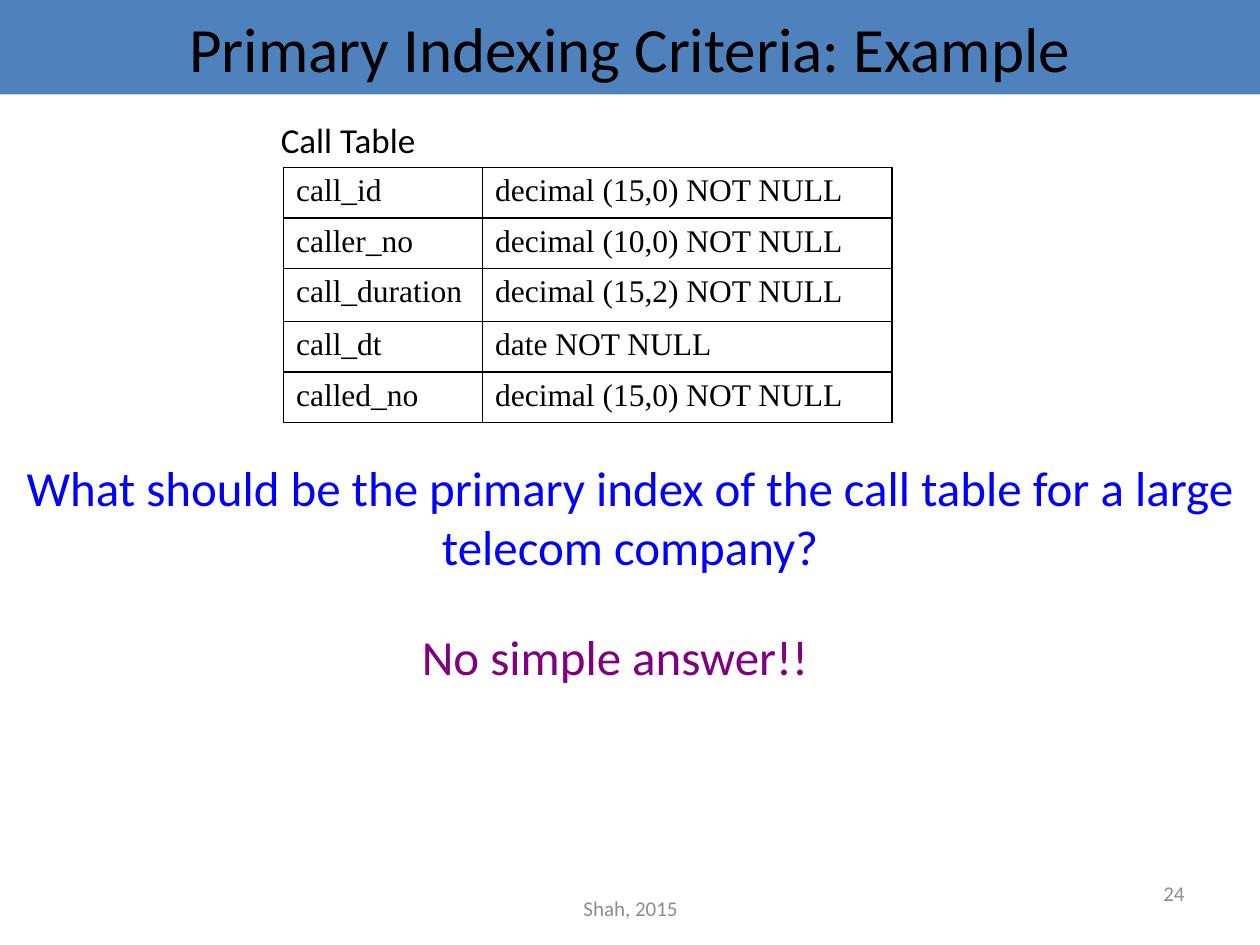
"""Build the slide on primary indexing criteria with its call table."""
import pptx
import pptx.dml.color
import pptx.enum.shapes
import pptx.enum.text
import pptx.oxml
import pptx.oxml.ns
import pptx.util

Inches = pptx.util.Inches
ALIGN = pptx.enum.text.PP_ALIGN
ANCHOR = pptx.enum.text.MSO_ANCHOR

COLUMN_WIDTHS = [1.58, 3.25]
ROW_HEIGHTS = [0.39, 0.39, 0.42, 0.39, 0.39]
CALL_COLUMNS = [
    ("call_id", "decimal (15,0) NOT NULL"),
    ("caller_no", "decimal (10,0) NOT NULL"),
    ("call_duration", "decimal (15,2) NOT NULL"),
    ("call_dt", "date NOT NULL"),
    ("called_no", "decimal (15,0) NOT NULL"),
]


def color(hex_string):
    """Return the colour for a hex string."""
    return pptx.dml.color.RGBColor.from_string(hex_string)


def write_text(frame, text, size, hex_string, align=ALIGN.LEFT, font="Calibri"):
    """Write one styled paragraph into a text frame."""
    paragraph = frame.paragraphs[0]
    paragraph.text = text
    paragraph.alignment = align
    paragraph.font.size = pptx.util.Pt(size)
    paragraph.font.name = font
    paragraph.font.color.rgb = color(hex_string)


def add_text(slide, box, text, size, hex_string, align=ALIGN.LEFT,
             anchor=ANCHOR.TOP, wrap=True):
    """Add a text box holding one paragraph."""
    shape = slide.shapes.add_textbox(*map(Inches, box))
    frame = shape.text_frame
    frame.word_wrap = wrap
    frame.vertical_anchor = anchor
    if not wrap:
        frame.auto_size = pptx.enum.text.MSO_AUTO_SIZE.SHAPE_TO_FIT_TEXT
    write_text(frame, text, size, hex_string, align)


def add_title_bar(slide, text):
    """Add the filled bar across the top with the title."""
    shape = slide.shapes.add_shape(
        pptx.enum.shapes.MSO_SHAPE.RECTANGLE, 0, 0, Inches(10), Inches(0.75))
    shape.shadow.inherit = False
    shape.fill.solid()
    shape.fill.fore_color.rgb = color("4F81BD")
    shape.line.fill.background()
    shape.text_frame.vertical_anchor = ANCHOR.MIDDLE
    write_text(shape.text_frame, text, 36, "000000", ALIGN.CENTER)


def set_borders(cell, hex_string, points):
    """Draw a solid line on all four sides of a cell."""
    properties = cell._tc.get_or_add_tcPr()
    for side in ("lnL", "lnR", "lnT", "lnB"):
        properties.append(pptx.oxml.parse_xml(
            f'<a:{side} {pptx.oxml.ns.nsdecls("a")} w="{pptx.util.Pt(points)}">'
            f'<a:solidFill><a:srgbClr val="{hex_string}"/></a:solidFill>'
            f'</a:{side}>'))


def add_call_table(slide, left, top):
    """Add the table that lists the call columns and their types."""
    table = slide.shapes.add_table(
        len(ROW_HEIGHTS), len(COLUMN_WIDTHS), Inches(left), Inches(top),
        Inches(sum(COLUMN_WIDTHS)), Inches(sum(ROW_HEIGHTS))).table
    table.first_row = False
    table.horz_banding = False
    for column, width in zip(table.columns, COLUMN_WIDTHS):
        column.width = Inches(width)
    for row, height, texts in zip(table.rows, ROW_HEIGHTS, CALL_COLUMNS):
        row.height = Inches(height)
        for cell, text in zip(row.cells, texts):
            set_borders(cell, "000000", 1)
            cell.fill.background()
            write_text(cell.text_frame, text, 18, "000000", font="Times New Roman")


def main():
    """Build and save the slide."""
    presentation = pptx.Presentation()
    presentation.slide_width = Inches(10)
    presentation.slide_height = Inches(7.5)
    slide = presentation.slides.add_slide(presentation.slide_layouts[6])
    add_text(slide, (3.42, 7.08, 3.17, 0.26), "Shah, 2015", 12, "8C8C8C",
             ALIGN.CENTER, ANCHOR.MIDDLE)
    add_text(slide, (7.17, 6.83, 2.33, 0.52), "24", 12, "8C8C8C",
             ALIGN.RIGHT, ANCHOR.MIDDLE)
    add_title_bar(slide, "Primary Indexing Criteria: Example")
    add_text(slide, (0, 3.58, 10, 1),
             "What should be the primary index of the call table for a large "
             "telecom company?", 28, "0000FF", ALIGN.CENTER)
    add_call_table(slide, 2.25, 1.33)
    add_text(slide, (2.13, 0.89, 1.45, 0.43), "Call Table", 20, "000000", wrap=False)
    add_text(slide, (3.25, 4.92, 3.51, 0.57), "No simple answer!!", 28, "800080",
             wrap=False)
    presentation.save("out.pptx")


if __name__ == "__main__":
    main()
